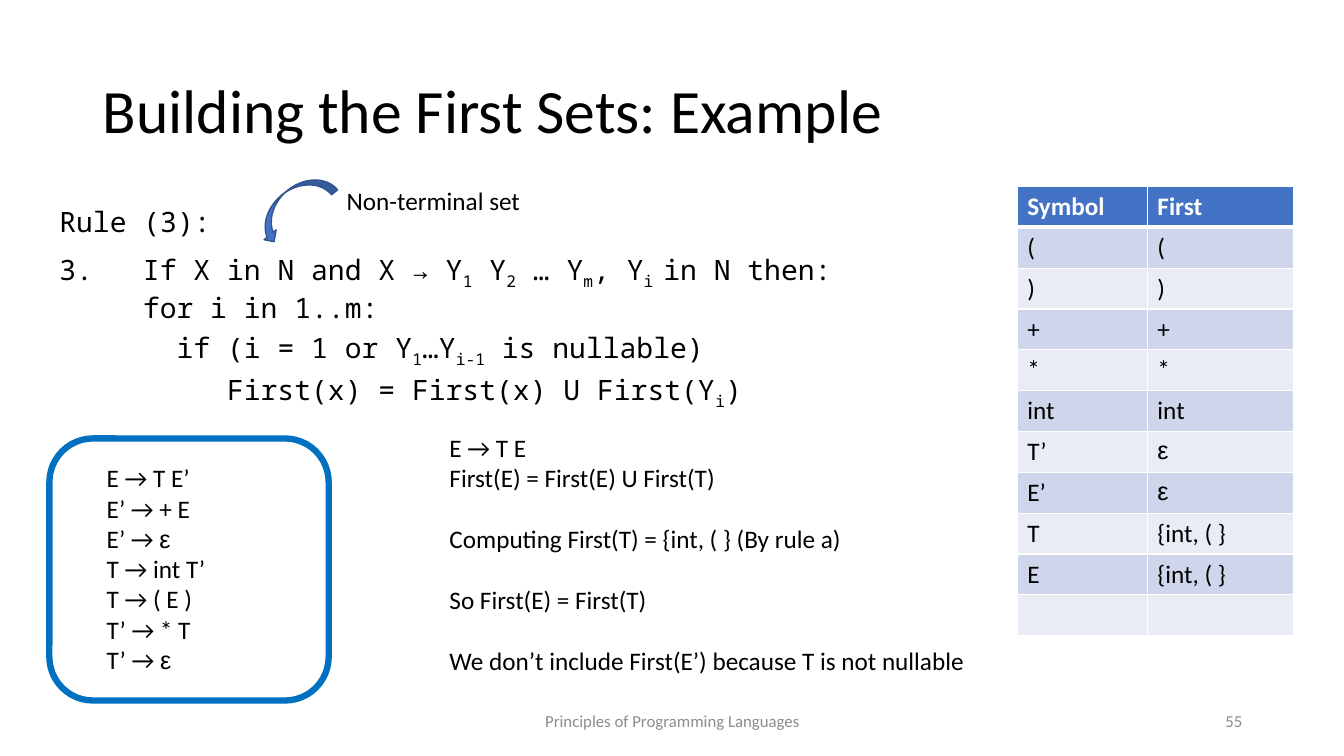
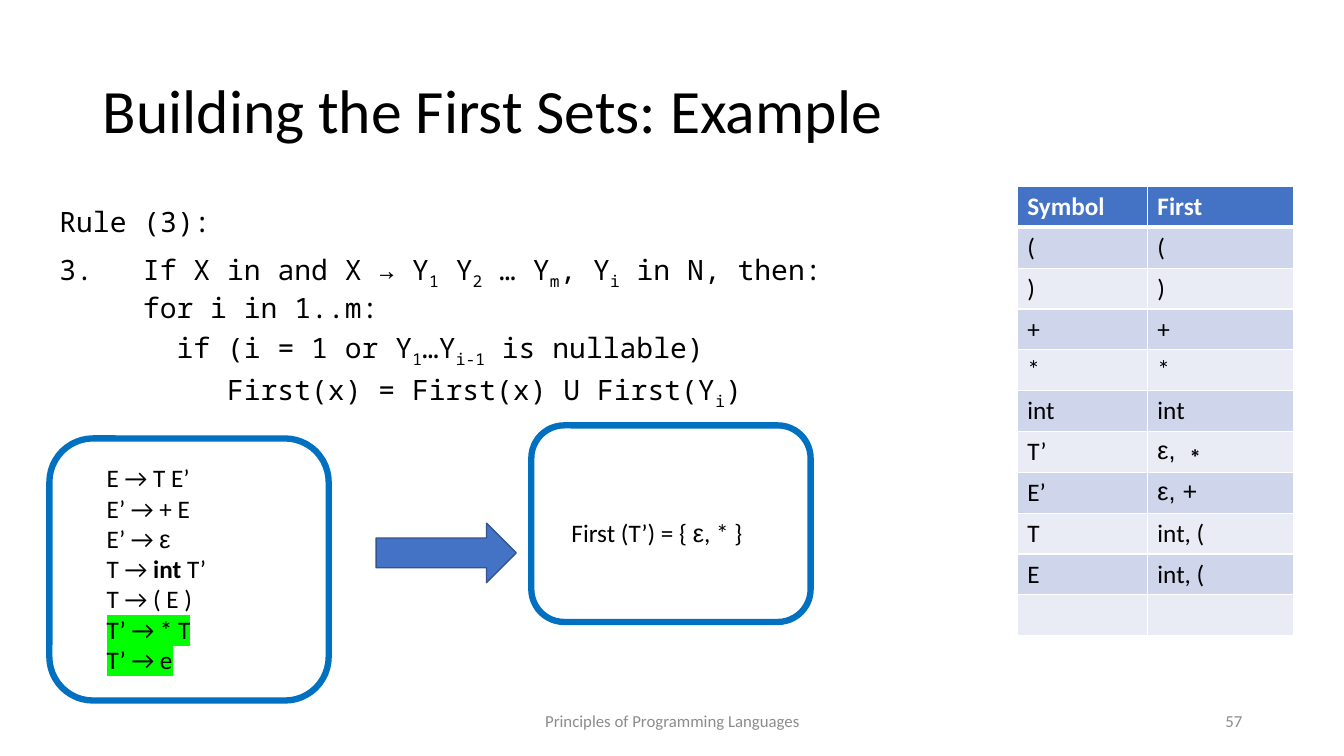
from dataclasses import dataclass, field
from typing import Any

from lxml.etree import SubElement
from pptx import Presentation
from pptx.dml.color import RGBColor
from pptx.enum.shapes import MSO_SHAPE
from pptx.enum.text import MSO_ANCHOR, PP_ALIGN
from pptx.oxml.ns import qn
from pptx.util import Inches, Pt

BLACK, WHITE, GREY = "000000", "FFFFFF", "8C8C8C"
BLUE, DARK_BLUE, FRAME_BLUE = "4472C4", "325491", "0070C0"
BANDS = ("CFD5EA", "E9EBF5")
GREEN = "00FF00"

BODY = {"name": "Calibri", "size": Pt(18)}
TITLE = {"name": "Calibri", "size": Pt(44)}
FOOTER = {"name": "Calibri", "size": Pt(12)}
CODE = {"name": "Noto Sans Mono", "size": Pt(20)}
GREEK = {"name": "Arial"}
BOLD = {"bold": True}

CODE_MARGIN = 0.83
CODE_CHARACTER = 12 / 72
BLANK_LINE = 22


@dataclass(frozen=True)
class Box:
    left: float
    top: float
    width: float
    height: float

    def lengths(self) -> tuple:
        return tuple(Inches(v) for v in (self.left, self.top, self.width, self.height))


@dataclass(frozen=True)
class Line:
    """Every second part of the text, split at the bars, takes the accent."""

    text: str
    accent: dict[str, Any] = field(default_factory=dict)
    before: float = 0
    margin: float = 0
    number: int = 0
    spacing: float = 1.0
    align: PP_ALIGN = PP_ALIGN.LEFT
    subscript: bool = False
    highlight: str = ""


@dataclass(frozen=True)
class Figure:
    kind: MSO_SHAPE
    box: Box
    outline: str
    weight: float
    fill: str = ""
    rotation: float = 0


@dataclass(frozen=True)
class ExampleSlide:
    number: str
    rule: str
    grammar: list[Line]
    notes: list[tuple[Box, list[Line]]]
    figures: list[Figure]
    first_sets: dict[str, str]


def colour(value: str) -> RGBColor:
    return RGBColor.from_string(value)


def apply(font, values: dict[str, Any], ink: str) -> None:
    for name, value in values.items():
        setattr(font, name, value)
    font.color.rgb = colour(ink)


def highlight_run(run, value: str) -> None:
    properties = run._r.get_or_add_rPr()
    mark = SubElement(properties, qn("a:highlight"))
    SubElement(mark, qn("a:srgbClr")).set("val", value)
    properties.find(qn("a:solidFill")).addnext(mark)


def indent(paragraph, line: Line, font_name: str) -> None:
    properties = paragraph._p.get_or_add_pPr()
    properties.set("marL", str(Inches(line.margin)))
    if line.number:
        properties.set("indent", str(-Inches(line.margin)))
        SubElement(properties, qn("a:buFont")).set("typeface", font_name)
        numbering = SubElement(properties, qn("a:buAutoNum"))
        numbering.set("type", "arabicPeriod")
        numbering.set("startAt", str(line.number))


def write_line(paragraph, line: Line, style: dict[str, Any], ink: str) -> None:
    if line.margin:
        indent(paragraph, line, style["name"])
    layout = {
        "alignment": line.align,
        "line_spacing": line.spacing,
        "space_before": Pt(line.before),
    }
    for name, value in layout.items():
        setattr(paragraph, name, value)
    for index, part in enumerate(line.text.split("|")):
        if not part:
            continue
        accented = index % 2 == 1
        run = paragraph.add_run()
        run.text = part
        apply(run.font, style | line.accent if accented else style, ink)
        if accented and line.subscript:
            run._r.get_or_add_rPr().set("baseline", "-25000")
        if line.highlight:
            highlight_run(run, line.highlight)


def add_text(slide, box: Box, lines: list[Line], style: dict[str, Any],
             ink: str = BLACK, anchor: MSO_ANCHOR = MSO_ANCHOR.TOP) -> None:
    frame = slide.shapes.add_textbox(*box.lengths()).text_frame
    frame.word_wrap = True
    frame.vertical_anchor = anchor
    for index, line in enumerate(lines):
        paragraph = frame.add_paragraph() if index else frame.paragraphs[0]
        write_line(paragraph, line, style, ink)


def add_figure(slide, figure: Figure) -> None:
    shape = slide.shapes.add_shape(figure.kind, *figure.box.lengths())
    shape.shadow.inherit = False
    shape.rotation = figure.rotation
    shape.line.color.rgb = colour(figure.outline)
    shape.line.width = Pt(figure.weight)
    if figure.fill:
        shape.fill.solid()
        shape.fill.fore_color.rgb = colour(figure.fill)
    else:
        shape.fill.background()


def border_cell(cell, bottom: float) -> None:
    properties = cell._tc.get_or_add_tcPr()
    weights = {"a:lnL": 1, "a:lnR": 1, "a:lnT": 1, "a:lnB": bottom}
    for position, (side, weight) in enumerate(weights.items()):
        edge = properties.makeelement(qn(side), {"w": str(Pt(weight))})
        fill = SubElement(edge, qn("a:solidFill"))
        SubElement(fill, qn("a:srgbClr")).set("val", WHITE)
        properties.insert(position, edge)


def add_first_table(slide, first_sets: dict[str, str]) -> None:
    rows = [("Symbol", "First"), *first_sets.items(), ("", "")]
    box = Box(10.09, 1.85, 2.74, 4.46)
    table = slide.shapes.add_table(len(rows), 2, *box.lengths()).table
    for column, width in zip(table.columns, (1.29, 1.45)):
        column.width = Inches(width)
    for index, row in enumerate(rows):
        table.rows[index].height = Inches(box.height / len(rows))
        header = index == 0
        for cell, text in zip(table.rows[index].cells, row):
            cell.fill.solid()
            cell.fill.fore_color.rgb = colour(BLUE if header else BANDS[(index - 1) % 2])
            border_cell(cell, 3 if header else 1)
            style = BODY | {"bold": header} | (GREEK if "ε" in text else {})
            write_line(cell.text_frame.paragraphs[0], Line(text), style,
                       WHITE if header else BLACK)


def rule_lines(condition: str) -> list[Line]:
    def code(text: str, depth: int = 0, before: float = 5, number: int = 0) -> Line:
        return Line(text, before=before, margin=CODE_MARGIN + depth * CODE_CHARACTER,
                    number=number, spacing=0.9, subscript=True)

    return [
        Line("Rule (3):", spacing=0.9),
        code(condition, before=10, number=3),
        code("for i in 1..m:"),
        code("if (i = 1 or Y|1|…Y|i-1| is nullable)", depth=2),
        code("First(x) = First(x) U First(Y|i|)", depth=5),
    ]


def build_slide(deck, content: ExampleSlide) -> None:
    slide = deck.slides.add_slide(deck.slide_layouts[6])
    add_text(slide, Box(0.92, 0.4, 11.5, 1.45),
             [Line("Building the First Sets: Example", spacing=0.9)],
             TITLE, anchor=MSO_ANCHOR.MIDDLE)
    add_text(slide, Box(0.49, 2.02, 9.5, 2.33), rule_lines(content.rule), CODE)
    footers = (
        (4.42, 4.5, "Principles of Programming Languages", PP_ALIGN.CENTER),
        (9.42, 3, content.number, PP_ALIGN.RIGHT),
    )
    for left, width, text, align in footers:
        add_text(slide, Box(left, 6.95, width, 0.4), [Line(text, align=align)],
                 FOOTER, GREY, MSO_ANCHOR.MIDDLE)
    add_first_table(slide, content.first_sets)
    add_text(slide, Box(0.96, 4.54, 2.15, 2.22), content.grammar, BODY)
    for box, lines in content.notes:
        add_text(slide, box, lines, BODY)
    for figure in content.figures:
        add_figure(slide, figure)


def frame_figure(box: Box) -> Figure:
    return Figure(MSO_SHAPE.ROUNDED_RECTANGLE, box, FRAME_BLUE, 4.5)


def arrow_figure(kind: MSO_SHAPE, box: Box, rotation: float = 0) -> Figure:
    return Figure(kind, box, DARK_BLUE, 1, BLUE, rotation)


def main() -> None:
    grammar_frame = frame_figure(Box(0.49, 4.35, 2.77, 2.6))
    grammar_start = [Line("E → T E’"), Line("E’ → + E"), Line("E’ → |ε", GREEK)]
    terminals = {symbol: symbol for symbol in ("(", ")", "+", "*", "int")}
    slides = [
        ExampleSlide(
            number="55",
            rule="If X in N and X → Y|1| Y|2| … Y|m|, Y|i |in N then:",
            grammar=grammar_start + [
                Line("T → int T’"),
                Line("T → ( E )"),
                Line("T’ → * T"),
                Line("T’ → |ε", GREEK),
            ],
            notes=[
                (Box(4.36, 4.24, 5.6, 2.83), [
                    Line("E → T E"),
                    Line("First(E) = First(E) U First(T)"),
                    Line("Computing First(T) = {int, ( } (By rule a)", before=BLANK_LINE),
                    Line("So First(E) = First(T)", before=BLANK_LINE),
                    Line("We don’t include First(E’) because T is not nullable",
                         before=BLANK_LINE),
                ]),
                (Box(3.34, 1.79, 2.2, 0.4), [Line("Non-terminal set")]),
            ],
            figures=[
                grammar_frame,
                arrow_figure(MSO_SHAPE.CURVED_RIGHT_ARROW,
                             Box(2.75, 1.6, 0.31, 0.89), 50.8),
            ],
            first_sets=terminals | {"T’": "ε", "E’": "ε", "T": "{int, ( }", "E": "{int, ( }"},
        ),
        ExampleSlide(
            number="57",
            rule="If X in and X → Y|1| Y|2| … Y|m|, Y|i| in N, then:",
            grammar=grammar_start + [
                Line("T → |int| T’", BOLD),
                Line("T → ( E )"),
                Line("T’ → * T", highlight=GREEN),
                Line("T’ → e", highlight=GREEN),
            ],
            notes=[(Box(5.57, 5.08, 2.2, 0.71), [Line("First (T’) = { |ε|, * }", GREEK)])],
            figures=[
                grammar_frame,
                arrow_figure(MSO_SHAPE.RIGHT_ARROW, Box(3.73, 5.19, 1.39, 0.59)),
                frame_figure(Box(5.27, 4.22, 2.77, 1.95)),
            ],
            first_sets=terminals | {"T’": "ε, ∗", "E’": "ε, +", "T": "int, (", "E": "int, ("},
        ),
    ]
    deck = Presentation()
    deck.slide_width = Inches(13.33)
    deck.slide_height = Inches(7.5)
    for content in slides:
        build_slide(deck, content)
    deck.save("out.pptx")


if __name__ == "__main__":
    main()
